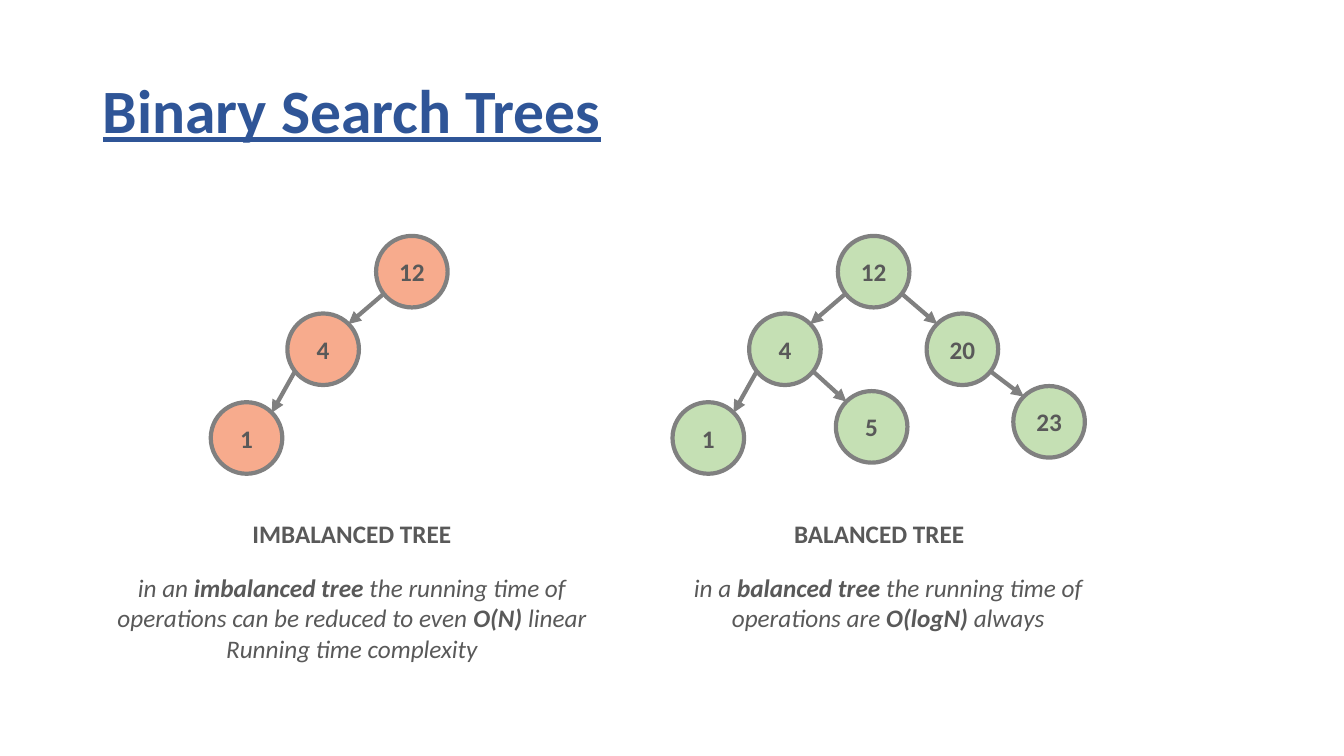
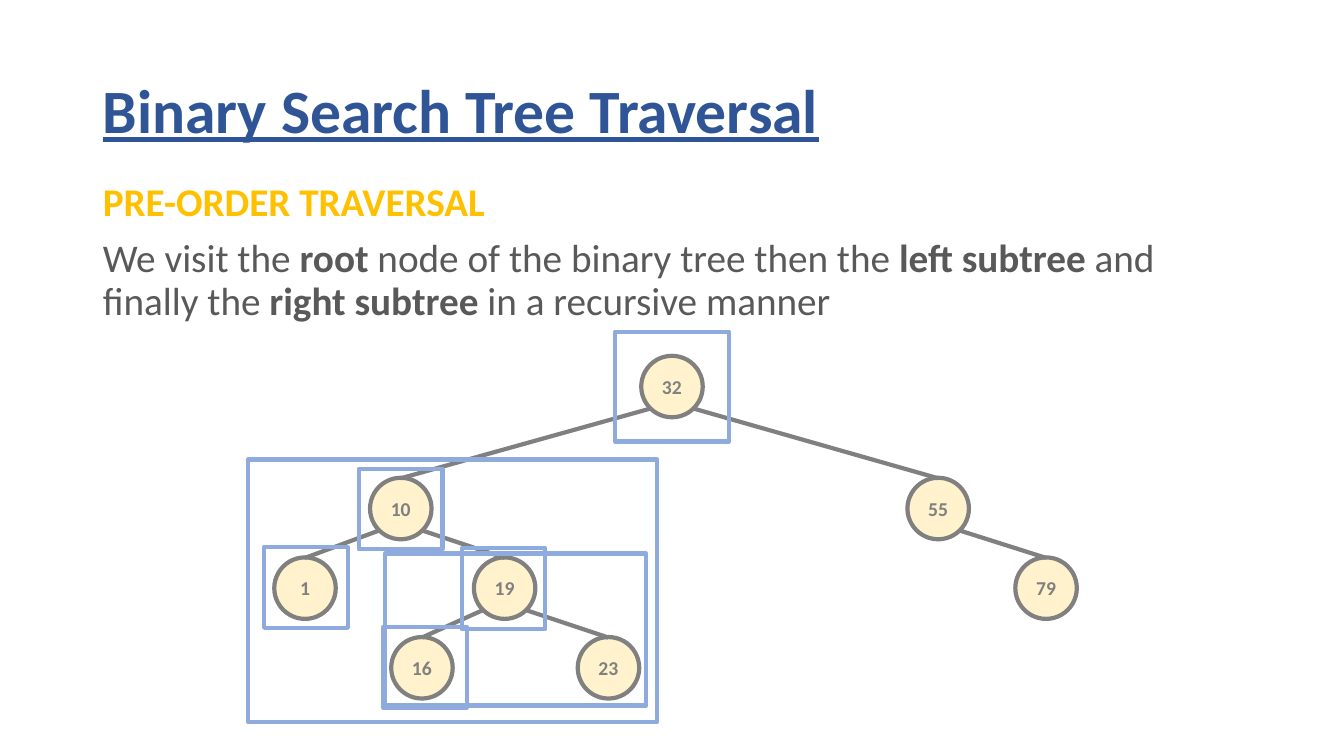
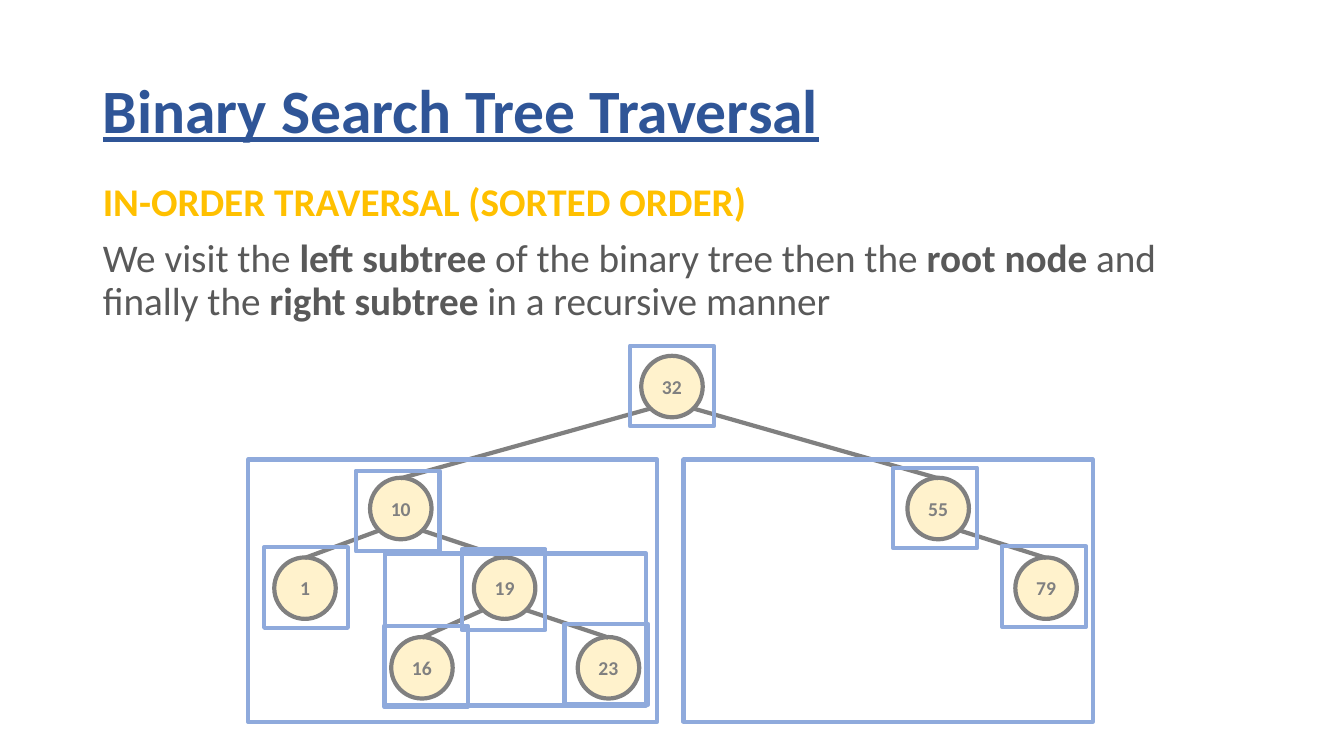
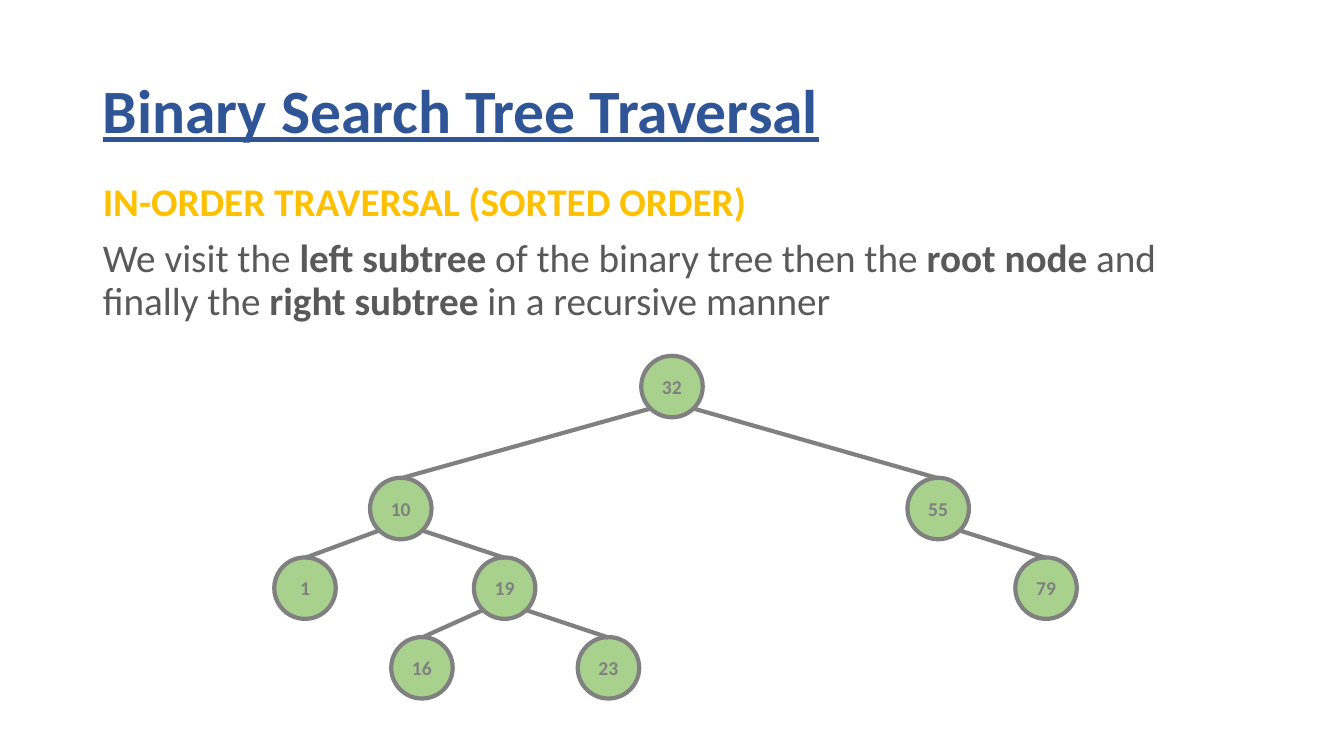
from dataclasses import dataclass

from lxml import etree
from pptx import Presentation
from pptx.dml.color import RGBColor
from pptx.enum.shapes import MSO_CONNECTOR, MSO_SHAPE
from pptx.enum.text import MSO_ANCHOR, MSO_AUTO_SIZE, PP_ALIGN
from pptx.oxml.ns import qn
from pptx.util import Inches, Pt

STRAIGHT = MSO_CONNECTOR.STRAIGHT
ELLIPSE = MSO_SHAPE.OVAL
RECTANGLE = MSO_SHAPE.RECTANGLE
MIDDLE = MSO_ANCHOR.MIDDLE
TOP = MSO_ANCHOR.TOP
NO_FIT = MSO_AUTO_SIZE.NONE
LEFT = PP_ALIGN.LEFT
CENTER = PP_ALIGN.CENTER


@dataclass(frozen=True)
class Theme:
    """Colours, type sizes and line width of the deck."""

    font: str = "Calibri"
    title: str = "2F5597"
    heading: str = "FFC000"
    text: str = "595959"
    line: str = "808080"
    frame: str = "8FAADC"
    imbalanced: str = "F7AB8D"
    balanced: str = "C5E0B4"
    waiting: str = "FFF2CC"
    sorted: str = "A9D18E"
    title_size: int = 44
    body_size: int = 28
    caption_size: int = 18
    label_size: int = 14
    line_width: int = 3


@dataclass(frozen=True)
class TreeStyle:
    """Node size, label look and edge geometry of one kind of tree."""

    diameter: float
    label_size: int
    label_color: str
    start: tuple
    end: tuple
    arrow: bool


THEME = Theme()
TITLE_BOX = (0.92, 0.4, 11.5, 1.45)
BODY_BOX = (0.92, 1.76, 11.5, 5.34)

COMPARED_STYLE = TreeStyle(0.71, THEME.caption_size, THEME.text, (0.28, 0.22), (0.25, -0.25), True)
COMPARED_NODES = {
    "12": (1.64, 0), "4": (0.76, 0.77), "1": (0, 1.65),
    "5": (1.62, 1.54), "20": (2.52, 0.77), "23": (3.38, 1.49),
}
COMPARED_EDGES = [("12", "4"), ("4", "1"), ("4", "5"), ("12", "20"), ("20", "23")]

TRAVERSED_STYLE = TreeStyle(0.61, THEME.label_size, THEME.line, (0.22, 0.22), (0, -0.3), False)
TRAVERSED_ORIGIN = (2.72, 3.53)
TRAVERSED_NODES = {
    "32": (3.64, 0), "55": (6.28, 1.21), "10": (0.95, 1.21), "19": (1.98, 2),
    "1": (0, 2), "16": (1.16, 2.79), "79": (7.35, 2), "23": (3.01, 2.79),
}
TRAVERSED_EDGES = [
    ("32", "55"), ("32", "10"), ("10", "19"), ("10", "1"),
    ("19", "16"), ("55", "79"), ("19", "23"),
]

NODE_FRAME = (0.83, 0.8)
LEFT_SUBTREE = (-0.26, 1.03, 4.06, 2.6)
RIGHT_SUBTREE = (4.06, 1.03, 4.06, 2.6)
INNER_SUBTREE = (1.1, 1.96, 2.59, 1.51)
PRE_ORDER_FRAMES = [
    (3.38, -0.24, 1.13, 1.09), LEFT_SUBTREE, (0.84, 1.12, *NODE_FRAME),
    (-0.1, 1.9, *NODE_FRAME), INNER_SUBTREE, (1.86, 1.91, *NODE_FRAME),
    (1.08, 2.69, *NODE_FRAME),
]
IN_ORDER_FRAMES = [
    LEFT_SUBTREE, (-0.1, 1.9, *NODE_FRAME), (0.81, 1.14, *NODE_FRAME),
    INNER_SUBTREE, (1.09, 2.68, *NODE_FRAME), (1.86, 1.92, *NODE_FRAME),
    (2.88, 2.66, *NODE_FRAME), (3.53, -0.1, *NODE_FRAME), RIGHT_SUBTREE,
    (6.14, 1.11, *NODE_FRAME), (7.22, 1.89, *NODE_FRAME),
]

PRE_ORDER = (
    "PRE-ORDER TRAVERSAL",
    "We visit the *root* node of the binary tree then the *left subtree *"
    "and finally the *right subtree *in a recursive manner",
)
IN_ORDER = (
    "IN-ORDER TRAVERSAL (SORTED ORDER)",
    "We visit the *left subtree* of the binary tree then the *root node *"
    "and finally the *right subtree *in a recursive manner",
)


def set_color(target, value):
    """Give a font or fill a solid colour."""
    target.rgb = RGBColor.from_string(value)


def style_paragraph(para, size, color, align=LEFT, bold=None, italic=None):
    """Set the font and alignment of a whole paragraph."""
    para.alignment = align
    para.font.name = THEME.font
    para.font.size = Pt(size)
    para.font.bold = bold
    para.font.italic = italic
    set_color(para.font.color, color)


def write_spans(para, text):
    """Write text whose parts between asterisks are bold."""
    for index, part in enumerate(text.split("*")):
        if part:
            span = para.add_run()
            span.text = part
            if index % 2:
                span.font.bold = True


def place(shape, box):
    """Move a shape to a box given in inches."""
    shape.left, shape.top, shape.width, shape.height = map(Inches, box)


def add_page(deck, layout_index, title):
    """Add a slide with the shared title style."""
    page = deck.slides.add_slide(deck.slide_layouts[layout_index])
    holder = page.shapes.title
    place(holder, TITLE_BOX)
    frame = holder.text_frame
    frame.text = title
    frame.vertical_anchor = MIDDLE
    frame.auto_size = NO_FIT
    para = frame.paragraphs[0]
    style_paragraph(para, THEME.title_size, THEME.title, bold=True)
    para.font.underline = True
    para.line_spacing = 0.9
    return page


def add_body(page, heading, text):
    """Fill the body placeholder with a heading and a sentence."""
    holder = page.placeholders[1]
    place(holder, BODY_BOX)
    frame = holder.text_frame
    frame.auto_size = NO_FIT
    frame.vertical_anchor = TOP
    lines = [(heading, THEME.heading, True), (text, THEME.text, False)]
    for index, (line, color, bold) in enumerate(lines):
        para = frame.add_paragraph() if index else frame.paragraphs[0]
        write_spans(para, line)
        para.line_spacing = 0.9
        para.space_before = Pt(10)
        properties = para._p.get_or_add_pPr()
        properties.set("marL", "0")
        properties.set("indent", "0")
        etree.SubElement(properties, qn("a:buNone"))
        style_paragraph(para, THEME.body_size, color, bold=bold)


def add_outlined(page, preset, box, line, fill=None):
    """Add a flat outlined shape, filled if a colour is given."""
    shape = page.shapes.add_shape(preset, *map(Inches, box))
    shape.shadow.inherit = False
    set_color(shape.line.color, line)
    shape.line.width = Pt(THEME.line_width)
    if fill:
        shape.fill.solid()
        set_color(shape.fill.fore_color, fill)
    else:
        shape.fill.background()
    return shape


def add_node(page, left, top, label, fill, style):
    """Add one round tree node with its label."""
    box = (left, top, style.diameter, style.diameter)
    frame = add_outlined(page, ELLIPSE, box, THEME.line, fill).text_frame
    frame.margin_left = frame.margin_right = 0
    frame.vertical_anchor = MIDDLE
    frame.text = label
    style_paragraph(frame.paragraphs[0], style.label_size, style.label_color, CENTER, bold=True)


def add_edge(page, start, end, arrow):
    """Add a flat straight edge, with an arrowhead if wanted."""
    edge = page.shapes.add_connector(STRAIGHT, *map(Inches, (*start, *end)))
    set_color(edge.line.color, THEME.line)
    edge.line.width = Pt(THEME.line_width)
    if arrow:
        etree.SubElement(edge.line._get_or_add_ln(), qn("a:tailEnd"), type="triangle")
    etree.SubElement(edge._element.spPr, qn("a:effectLst"))


def add_tree(page, origin, nodes, edges, fill, style):
    """Draw nodes and the edges between them, relative to an origin."""
    left, top = origin
    radius = style.diameter / 2
    for label, (x, y) in nodes.items():
        add_node(page, left + x, top + y, label, fill, style)
    for parent, child in edges:
        if parent in nodes and child in nodes:
            (parent_x, parent_y), (child_x, child_y) = nodes[parent], nodes[child]
            side = 1 if child_x > parent_x else -1
            start = (
                left + parent_x + radius + side * style.start[0],
                top + parent_y + radius + style.start[1],
            )
            end = (
                left + child_x + radius - side * style.end[0],
                top + child_y + radius + style.end[1],
            )
            add_edge(page, start, end, style.arrow)


def add_caption(page, center, top, width, height, lines, bold=None, italic=None):
    """Add centred caption lines around a horizontal centre."""
    box = (center - width / 2, top, width, height)
    frame = page.shapes.add_textbox(*map(Inches, box)).text_frame
    frame.word_wrap = False
    for index, line in enumerate(lines):
        para = frame.add_paragraph() if index else frame.paragraphs[0]
        write_spans(para, line)
        style_paragraph(para, THEME.caption_size, THEME.text, CENTER, bold, italic)


def add_comparison_page(deck):
    """Build the slide that compares two trees."""
    page = add_page(deck, 5, "Binary Search Trees")
    chain = {label: COMPARED_NODES[label] for label in ("12", "4", "1")}
    trees = [((2.09, 2.34), chain, THEME.imbalanced), ((6.67, 2.34), COMPARED_NODES, THEME.balanced)]
    for origin, nodes, fill in trees:
        add_tree(page, origin, nodes, COMPARED_EDGES, fill, COMPARED_STYLE)
    add_caption(page, 3.49, 5.09, 2.19, 0.4, ["IMBALANCED TREE"], bold=True)
    add_caption(page, 8.72, 5.09, 1.97, 0.4, ["BALANCED TREE"], bold=True)
    add_caption(page, 3.49, 5.63, 4.93, 1.01, [
        "in an *imbalanced tree* the running time of",
        "operations can be reduced to even *O(N)* linear",
        "Running time complexity",
    ], italic=True)
    add_caption(page, 8.81, 5.63, 4.1, 0.71, [
        "in a *balanced tree* the running time of",
        "operations are *O(logN)* always",
    ], italic=True)


def add_traversal_page(deck, body, fill, frames):
    """Build a traversal slide with its tree and highlight frames."""
    page = add_page(deck, 1, "Binary Search Tree Traversal")
    add_body(page, *body)
    add_tree(page, TRAVERSED_ORIGIN, TRAVERSED_NODES, TRAVERSED_EDGES, fill, TRAVERSED_STYLE)
    left, top = TRAVERSED_ORIGIN
    for x, y, width, height in frames:
        add_outlined(page, RECTANGLE, (left + x, top + y, width, height), THEME.frame)


def main():
    """Build and save the deck."""
    deck = Presentation()
    deck.slide_width = Inches(13.33)
    deck.slide_height = Inches(7.5)
    add_comparison_page(deck)
    add_traversal_page(deck, PRE_ORDER, THEME.waiting, PRE_ORDER_FRAMES)
    add_traversal_page(deck, IN_ORDER, THEME.waiting, IN_ORDER_FRAMES)
    add_traversal_page(deck, IN_ORDER, THEME.sorted, [])
    deck.save("out.pptx")


if __name__ == "__main__":
    main()
